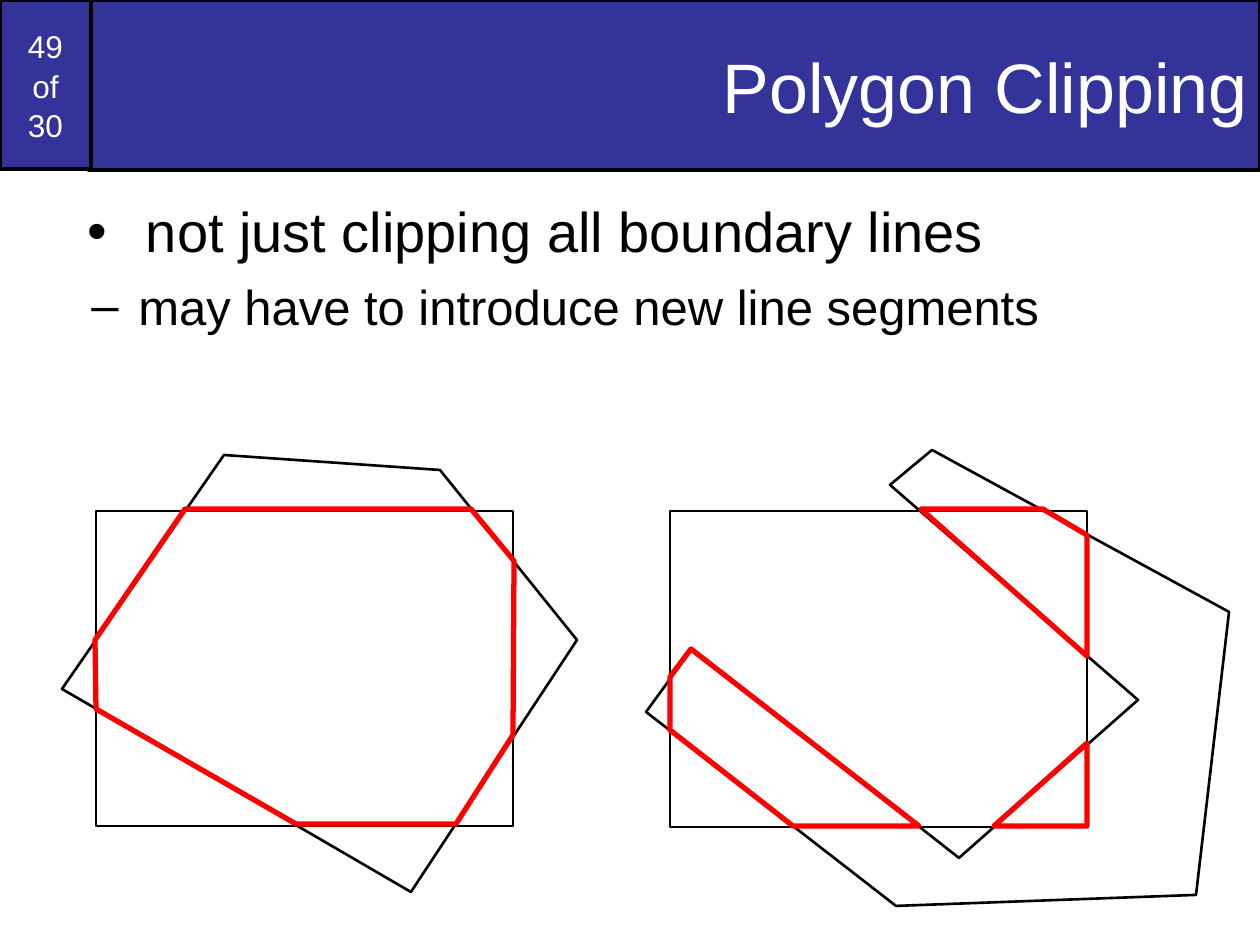
from lxml.etree import SubElement
from pptx import Presentation
from pptx.dml.color import RGBColor
from pptx.enum.shapes import MSO_SHAPE as Shape
from pptx.enum.text import MSO_ANCHOR as Anchor, MSO_AUTO_SIZE as AutoSize, PP_ALIGN as Align
from pptx.oxml.ns import qn
from pptx.util import Pt

PX = 914400 / 126
FONT = "Arial"
COLORS = {"band": "333399", "ink": "000000", "paper": "FFFFFF", "clip": "FF0000"}

LEFT_WINDOW = (96, 511, 417, 315)
LEFT_POLYGON = [(62, 689), (224, 455), (440, 470), (577, 640), (411, 892)]
LEFT_CLIPPED = [(185, 509), (471, 509), (514, 561), (513, 735),
                (456, 824), (296, 824), (96, 709), (95, 640)]
RIGHT_WINDOW = (670, 511, 417, 316)
RIGHT_POLYGON = [(692, 649), (646, 712), (896, 906), (1196, 895), (1229, 612),
                 (932, 450), (890, 485), (1138, 700), (959, 858)]
RIGHT_CLIPPED = [
    [(670, 730), (670, 677), (691, 649), (919, 826), (793, 826)],
    [(1087, 743), (1087, 826), (994, 826)],
    [(921, 509), (1043, 509), (1087, 535), (1087, 656)],
]


def px(value):
    return round(value * PX)


def color(key):
    return RGBColor.from_string(COLORS[key])


def place(item, left, top, width, height):
    item.left, item.top = px(left), px(top)
    item.width, item.height = px(width), px(height)


def outline(item, key, points):
    item.line.color.rgb = color(key)
    item.line.width = Pt(points)


def fill_band(item):
    item.fill.solid()
    item.fill.fore_color.rgb = color("band")
    outline(item, "ink", 2)


def add_run(paragraph, text, size, key):
    run = paragraph.add_run()
    run.text = text
    run.font.name = FONT
    run.font.size = Pt(size)
    run.font.color.rgb = color(key)


def add_title(slide, text):
    title = slide.shapes.title
    place(title, 88, 0, 1172, 170)
    fill_band(title)
    frame = title.text_frame
    frame.auto_size = AutoSize.NONE
    frame.word_wrap = True
    frame.vertical_anchor = Anchor.MIDDLE
    paragraph = frame.paragraphs[0]
    paragraph.alignment = Align.RIGHT
    add_run(paragraph, text, 40, "paper")


def add_page_counter(slide, lines):
    counter = slide.shapes.add_shape(Shape.RECTANGLE, 0, 0, px(91), px(169))
    counter.shadow.inherit = False
    fill_band(counter)
    frame = counter.text_frame
    frame.vertical_anchor = Anchor.MIDDLE
    paragraph = frame.paragraphs[0]
    paragraph.alignment = Align.CENTER
    paragraph.line_spacing = 1.05
    for index, line in enumerate(lines):
        if index:
            paragraph.add_line_break()
        add_run(paragraph, line, 18, "paper")


def add_bullet(paragraph, text, mark, size, margin, hang):
    properties = paragraph._p.get_or_add_pPr()
    properties.set("marL", str(px(margin)))
    properties.set("indent", str(-px(hang)))
    mark_color = SubElement(properties, qn("a:buClr"))
    SubElement(mark_color, qn("a:srgbClr")).set("val", COLORS["ink"])
    SubElement(properties, qn("a:buFont")).set("typeface", FONT)
    SubElement(properties, qn("a:buChar")).set("char", mark)
    add_run(paragraph, text, size, "ink")


def add_points(slide):
    points = slide.shapes.add_textbox(px(63), px(184), px(1134), px(571))
    frame = points.text_frame
    frame.word_wrap = True
    frame.margin_top = px(13)
    add_bullet(frame.paragraphs[0], " not just clipping all boundary lines", "•", 32, 55, 43)
    detail = frame.add_paragraph()
    detail.level = 1
    add_bullet(detail, "may have to introduce new line segments", "–", 28, 63, 47)
    detail.space_before = Pt(7)


def add_window(shapes, box):
    window = shapes.add_shape(Shape.RECTANGLE, *map(px, box))
    window.shadow.inherit = False
    window.fill.background()
    outline(window, "ink", 1.5)


def add_polygon(shapes, corners, key, weight):
    builder = shapes.build_freeform(*corners[0], scale=PX)
    builder.add_line_segments(corners[1:], close=True)
    polygon = builder.convert_to_shape()
    polygon.shadow.inherit = False
    polygon.fill.background()
    outline(polygon, key, weight)


def add_clipping(shapes, window, polygon, clipped_parts):
    add_window(shapes, window)
    add_polygon(shapes, polygon, "ink", 1.5)
    for part in clipped_parts:
        add_polygon(shapes, part, "clip", 3)


def main():
    deck = Presentation()
    deck.slide_width, deck.slide_height = px(1260), px(945)
    slide = deck.slides.add_slide(deck.slide_layouts[5])
    add_page_counter(slide, ["49", "of", "30"])
    add_title(slide, "Polygon Clipping")
    add_points(slide)
    convex_case = slide.shapes.add_group_shape()
    add_clipping(convex_case.shapes, LEFT_WINDOW, LEFT_POLYGON, [LEFT_CLIPPED])
    add_clipping(slide.shapes, RIGHT_WINDOW, RIGHT_POLYGON, RIGHT_CLIPPED)
    deck.save("out.pptx")


if __name__ == "__main__":
    main()
